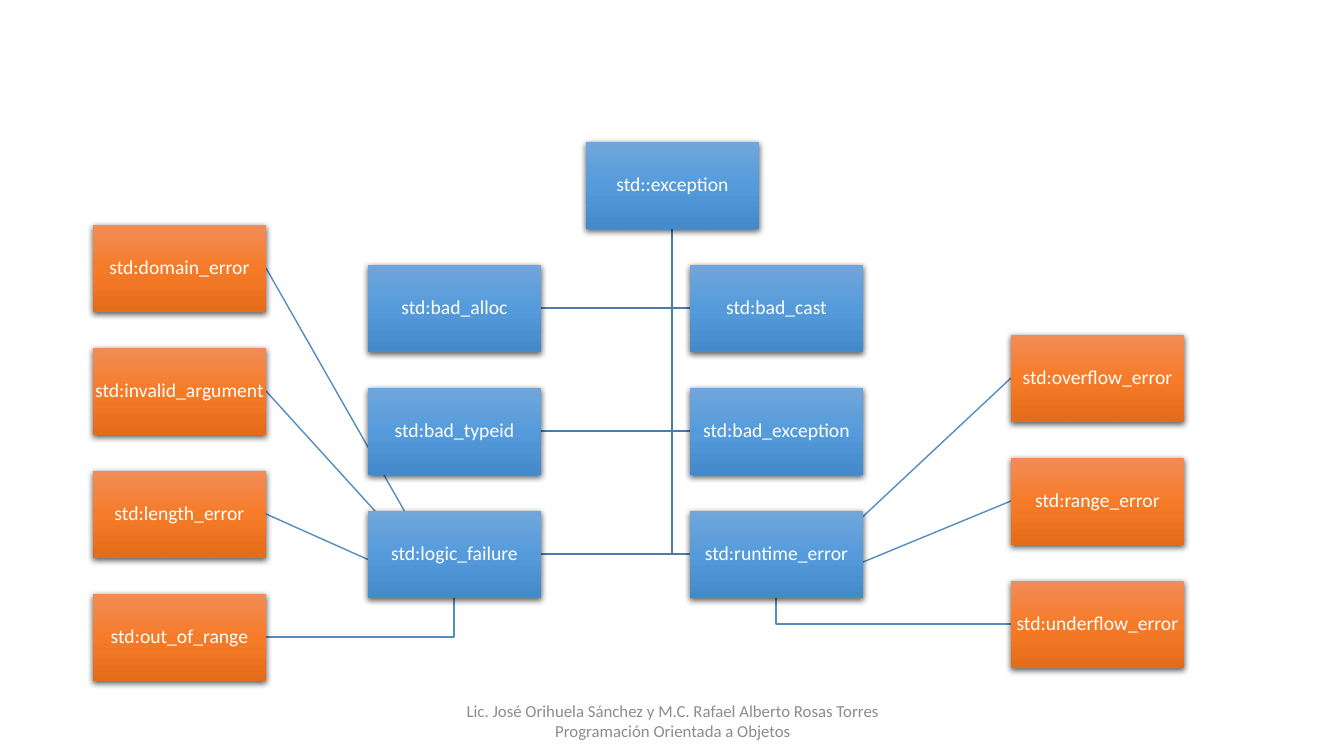
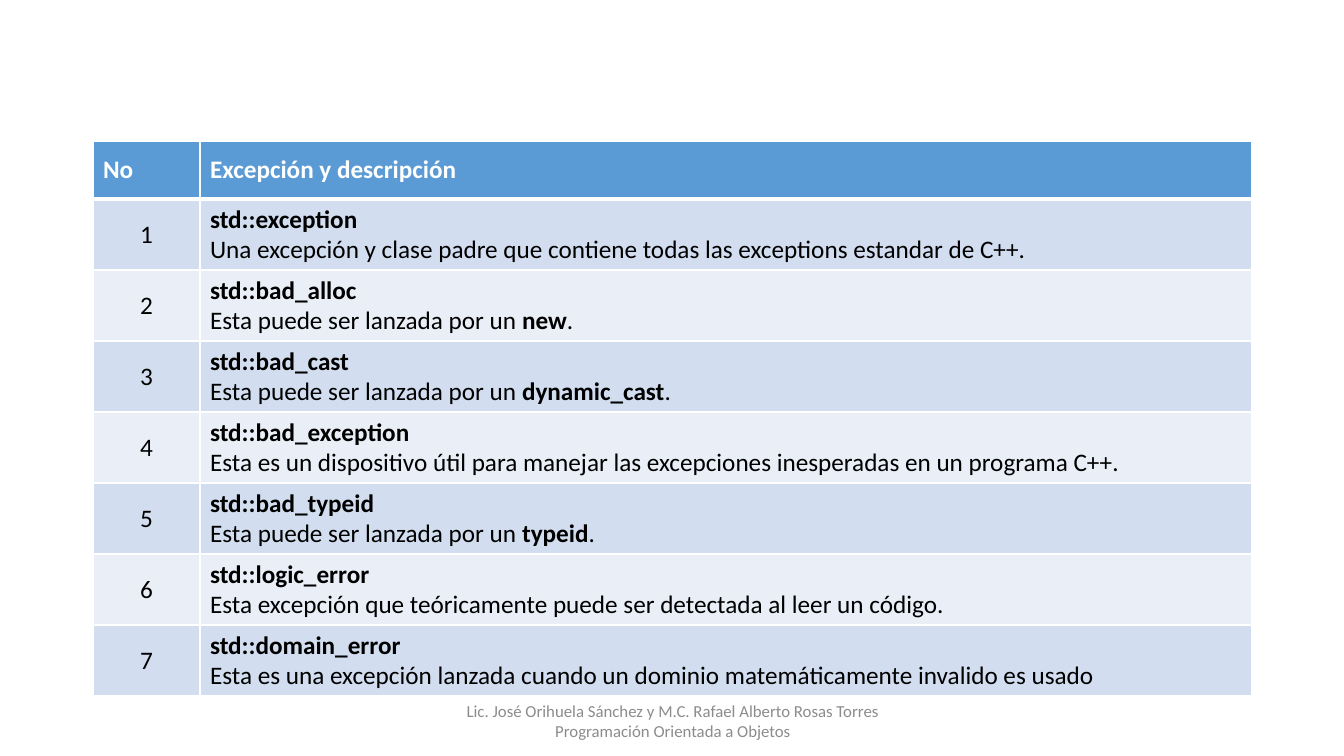
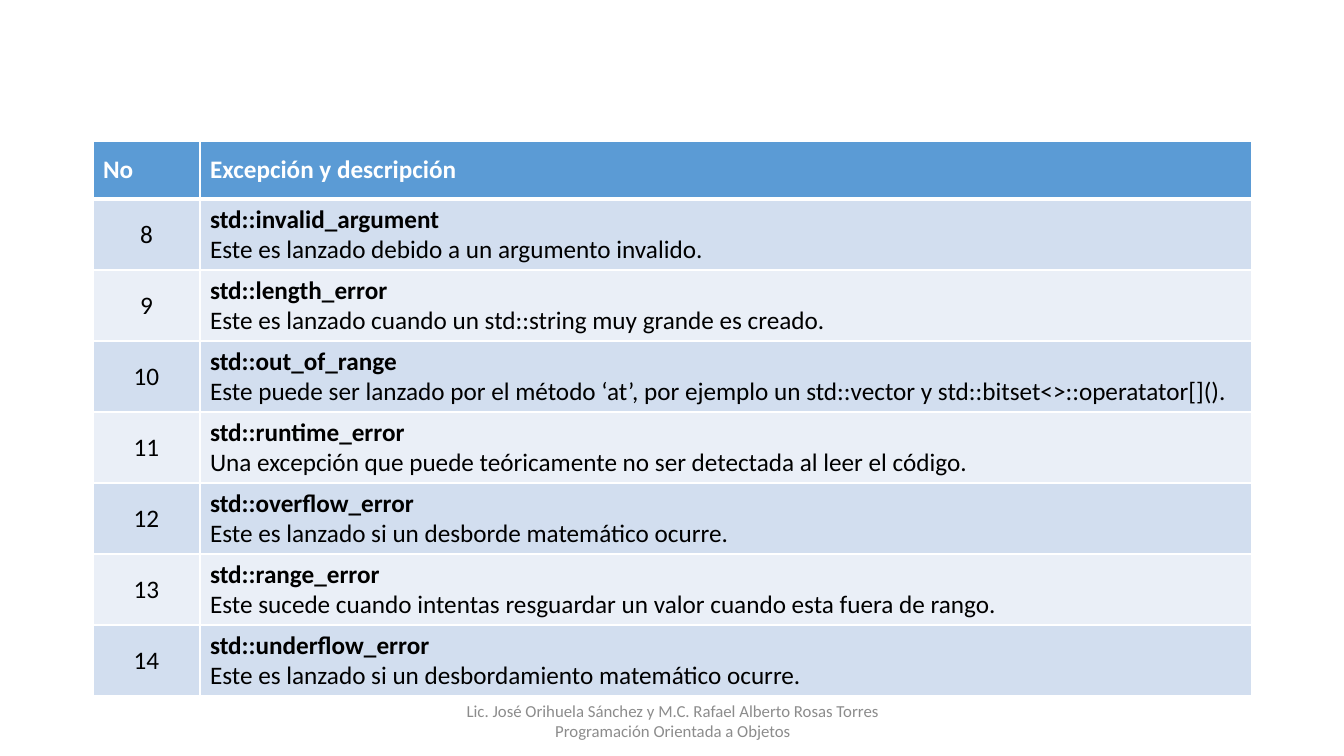
import copy
import dataclasses

import pptx
import pptx.dml.color
import pptx.enum.shapes
import pptx.enum.text
import pptx.oxml
import pptx.oxml.ns
import pptx.util

ALIGN = pptx.enum.text.PP_ALIGN
ANCHOR = pptx.enum.text.MSO_ANCHOR
NAMESPACE = pptx.oxml.ns.nsdecls("a")


@dataclasses.dataclass(frozen=True)
class Theme:
    """Colours, type sizes and line widths of the deck."""
    font: str = "Calibri"
    white: str = "FFFFFF"
    black: str = "000000"
    footer: str = "8C8C8C"
    header: str = "5B9BD5"
    bands: tuple = ("D2DEEF", "EAEFF7")
    blue: tuple = ("71A6DB", "559BDB", "448ACA")
    orange: tuple = ("F18C57", "F67B28", "E56C19")
    trunk: str = "497CAB"
    branch: str = "538DC1"
    node_size: int = 14
    table_size: int = 18
    footer_size: int = 12
    thin: int = 1
    thick: int = 3


@dataclasses.dataclass(frozen=True)
class Box:
    """A rectangle in px."""
    left: int
    top: int
    width: int
    height: int

    def inside(self, left, top, width, height):
        """Return a box placed relative to this one."""
        return Box(self.left + left, self.top + top, width, height)

    def emu(self):
        """Return left, top, width and height in EMU."""
        return [px(side) for side in dataclasses.astuple(self)]

    @property
    def center(self):
        """Return the horizontal middle."""
        return self.left + self.width // 2

    @property
    def middle(self):
        """Return the vertical middle."""
        return self.top + self.height // 2

    @property
    def right(self):
        """Return the right edge."""
        return self.left + self.width

    @property
    def bottom(self):
        """Return the bottom edge."""
        return self.top + self.height


THEME = Theme()
PAGE = Box(0, 0, 1344, 756)
DIAGRAM = Box(93, 142, 1091, 539)
TABLE = Box(93, 141, 1159, 555)
FOOTER = Box(446, 700, 454, 41)
NODE_WIDTH, NODE_HEIGHT, NODE_GAP = 173, 87, 36
NUMBER_WIDTH, HEADER_HEIGHT = 107, 58

FOOTER_TEXT = ("Lic. José Orihuela Sánchez y M.C. Rafael Alberto Rosas Torres\n"
               "Programación Orientada a Objetos")
ROOT = "std::exception"
LEFT_CHILDREN = ["std:bad_alloc", "std:bad_typeid", "std:logic_failure"]
RIGHT_CHILDREN = ["std:bad_cast", "std:bad_exception", "std:runtime_error"]
LOGIC_LEAVES = ["std:domain_error", "std:invalid_argument",
                "std:length_error", "std:out_of_range"]
RUNTIME_LEAVES = ["std:overflow_error", "std:range_error", "std:underflow_error"]

EXCEPTIONS = [
    ("std::exception",
     "Una excepción y clase padre que contiene todas las exceptions estandar de C++."),
    ("std::bad_alloc", "Esta puede ser lanzada por un *new*."),
    ("std::bad_cast", "Esta puede ser lanzada por un *dynamic_cast*."),
    ("std::bad_exception",
     "Esta es un dispositivo útil para manejar las excepciones inesperadas en un programa C++."),
    ("std::bad_typeid", "Esta puede ser lanzada por un *typeid*."),
    ("std::logic_error",
     "Esta excepción que teóricamente puede ser detectada al leer un código."),
    ("std::domain_error",
     "Esta es una excepción lanzada cuando un dominio matemáticamente invalido es usado"),
    ("std::invalid_argument", "Este es lanzado debido a un argumento invalido."),
    ("std::length_error", "Este es lanzado cuando un std::string muy grande es creado."),
    ("std::out_of_range",
     "Este puede ser lanzado por el método ‘at’, por ejemplo un std::vector y "
     "std::bitset<>::operatator[]()."),
    ("std::runtime_error",
     "Una excepción que puede teóricamente no ser detectada al leer el código."),
    ("std::overflow_error", "Este es lanzado si un desborde matemático ocurre."),
    ("std::range_error",
     "Este sucede cuando intentas resguardar un valor cuando esta fuera de rango."),
    ("std::underflow_error", "Este es lanzado si un desbordamiento matemático ocurre."),
]
ROWS_PER_PAGE = 7


def px(length):
    """Turn px into EMU."""
    return pptx.util.Emu(round(length * 914400 / 100.8))


def rgb(color):
    """Turn a hex string into a colour."""
    return pptx.dml.color.RGBColor.from_string(color)


def write(frame, text, size, color, align=ALIGN.LEFT, spacing=None):
    """Fill a text frame, one paragraph a line, with *bold* pieces."""
    for index, line in enumerate(text.split("\n")):
        para = frame.add_paragraph() if index else frame.paragraphs[0]
        para.alignment = align
        para.line_spacing = spacing
        for position, piece in enumerate(line.split("*")):
            if piece:
                span = para.add_run()
                span.text = piece
                span.font.name = THEME.font
                span.font.size = pptx.util.Pt(size)
                span.font.bold = position % 2 == 1
                span.font.color.rgb = rgb(color)


def footer(page, box):
    """Write the authors and the course at the foot of the page."""
    frame = page.shapes.add_textbox(*box.emu()).text_frame
    frame.word_wrap = True
    frame.vertical_anchor = ANCHOR.MIDDLE
    write(frame, FOOTER_TEXT, THEME.footer_size, THEME.footer, align=ALIGN.CENTER)


def node(page, box, text, colors):
    """Draw one class as a shaded rectangle with a soft shadow."""
    shape = page.shapes.add_shape(pptx.enum.shapes.MSO_SHAPE.RECTANGLE, *box.emu())
    shape.line.fill.background()
    shape.fill.gradient()
    shape.fill.gradient_angle = 270
    stops = shape.element.spPr.find(".//" + pptx.oxml.ns.qn("a:gsLst"))
    stops.append(copy.deepcopy(stops[-1]))
    for index, stop in enumerate(shape.fill.gradient_stops):
        stop.position = index / 2
        stop.color.rgb = rgb(colors[index])
    shape.shadow.inherit = False
    shape.element.spPr.find(pptx.oxml.ns.qn("a:effectLst")).append(pptx.oxml.parse_xml(
        f'<a:outerShdw {NAMESPACE} blurRad="57150" dist="19050" dir="5400000" '
        f'algn="ctr" rotWithShape="0"><a:srgbClr val="{THEME.black}">'
        '<a:alpha val="63000"/></a:srgbClr></a:outerShdw>'))
    frame = shape.text_frame
    frame.margin_left = frame.margin_right = frame.margin_top = frame.margin_bottom = px(1)
    frame.word_wrap = True
    frame.vertical_anchor = ANCHOR.MIDDLE
    write(frame, text, THEME.node_size, THEME.white, align=ALIGN.CENTER, spacing=0.9)


def link(page, parent, child, color, elbow):
    """Join the bottom of a parent to the near side of a child."""
    side = child.left if child.left > parent.center else child.right
    start = px(parent.center), px(parent.bottom)
    end = px(side), px(child.middle)
    if elbow:
        builder = page.shapes.build_freeform(*start)
        builder.add_line_segments([(start[0], end[1]), end], close=False)
        line = builder.convert_to_shape()
        line.fill.background()
        line.shadow.inherit = False
    else:
        line = page.shapes.add_connector(
            pptx.enum.shapes.MSO_CONNECTOR.STRAIGHT, *start, *end)
    line.line.color.rgb = rgb(color)
    line.line.width = pptx.util.Pt(THEME.thin)
    if not elbow:
        line.element.spPr.append(pptx.oxml.parse_xml(f"<a:effectLst {NAMESPACE}/>"))


def diagram(page, box):
    """Draw the tree of exception classes."""
    pitch = NODE_HEIGHT + NODE_GAP

    def column(names, left, top):
        """Stack one node box for each name."""
        return [box.inside(left, top + index * pitch, NODE_WIDTH, NODE_HEIGHT)
                for index in range(len(names))]

    root = box.inside(493, 0, NODE_WIDTH, NODE_HEIGHT)
    left_children = column(LEFT_CHILDREN, 275, pitch)
    right_children = column(RIGHT_CHILDREN, 597, pitch)
    logic_leaves = column(LOGIC_LEAVES, 0, 83)
    runtime_leaves = column(RUNTIME_LEAVES, 918, 193)

    for parent, leaves in ((right_children[-1], runtime_leaves),
                           (left_children[-1], logic_leaves)):
        for leaf in leaves:
            link(page, parent, leaf, THEME.branch, elbow=leaf is leaves[-1])
    for child in left_children + right_children:
        link(page, root, child, THEME.trunk, elbow=True)

    for names, places, colors in (
            ([ROOT], [root], THEME.blue),
            (LEFT_CHILDREN, left_children, THEME.blue),
            (RIGHT_CHILDREN, right_children, THEME.blue),
            (LOGIC_LEAVES, logic_leaves, THEME.orange),
            (RUNTIME_LEAVES, runtime_leaves, THEME.orange)):
        for name, place in zip(names, places):
            node(page, place, name, colors)


def style_cell(cell, fill, top, bottom):
    """Give a cell its white borders, fill and anchor."""
    properties = cell._tc.get_or_add_tcPr()
    for side, width in (("L", THEME.thin), ("R", THEME.thin), ("T", top), ("B", bottom)):
        properties.append(pptx.oxml.parse_xml(
            f'<a:ln{side} {NAMESPACE} w="{pptx.util.Pt(width)}"><a:solidFill>'
            f'<a:srgbClr val="{THEME.white}"/></a:solidFill></a:ln{side}>'))
    cell.fill.solid()
    cell.fill.fore_color.rgb = rgb(fill)
    cell.vertical_anchor = ANCHOR.MIDDLE


def exception_table(page, box, first, entries):
    """Draw a numbered table of exceptions, counting from first."""
    table = page.shapes.add_table(len(entries) + 1, 2, *box.emu()).table
    table.columns[0].width = px(NUMBER_WIDTH)
    table.columns[1].width = px(box.width - NUMBER_WIDTH)
    rows = [("*No*", "*Excepción y descripción*")]
    rows += [(str(number), f"*{name}*\n{description}")
             for number, (name, description) in enumerate(entries, first)]
    for index, texts in enumerate(rows):
        heading = index == 0
        table.rows[index].height = px(
            HEADER_HEIGHT if heading else (box.height - HEADER_HEIGHT) // len(entries))
        for position, text in enumerate(texts):
            cell = table.cell(index, position)
            style_cell(cell, THEME.header if heading else THEME.bands[(index - 1) % 2],
                       top=THEME.thick if index == 1 else THEME.thin,
                       bottom=THEME.thick if heading else THEME.thin)
            centered = position == 0 and not heading
            write(cell.text_frame, text, THEME.table_size,
                  THEME.white if heading else THEME.black,
                  align=ALIGN.CENTER if centered else ALIGN.LEFT)


def add_page(deck):
    """Add a blank page with the shared footer."""
    page = deck.slides.add_slide(deck.slide_layouts.get_by_name("Blank"))
    footer(page, FOOTER)
    return page


def main():
    """Build and save the deck."""
    deck = pptx.Presentation()
    deck.slide_width, deck.slide_height = px(PAGE.width), px(PAGE.height)
    diagram(add_page(deck), DIAGRAM)
    for start in range(0, len(EXCEPTIONS), ROWS_PER_PAGE):
        exception_table(add_page(deck), TABLE, start + 1,
                        EXCEPTIONS[start:start + ROWS_PER_PAGE])
    deck.save("out.pptx")


if __name__ == "__main__":
    main()
